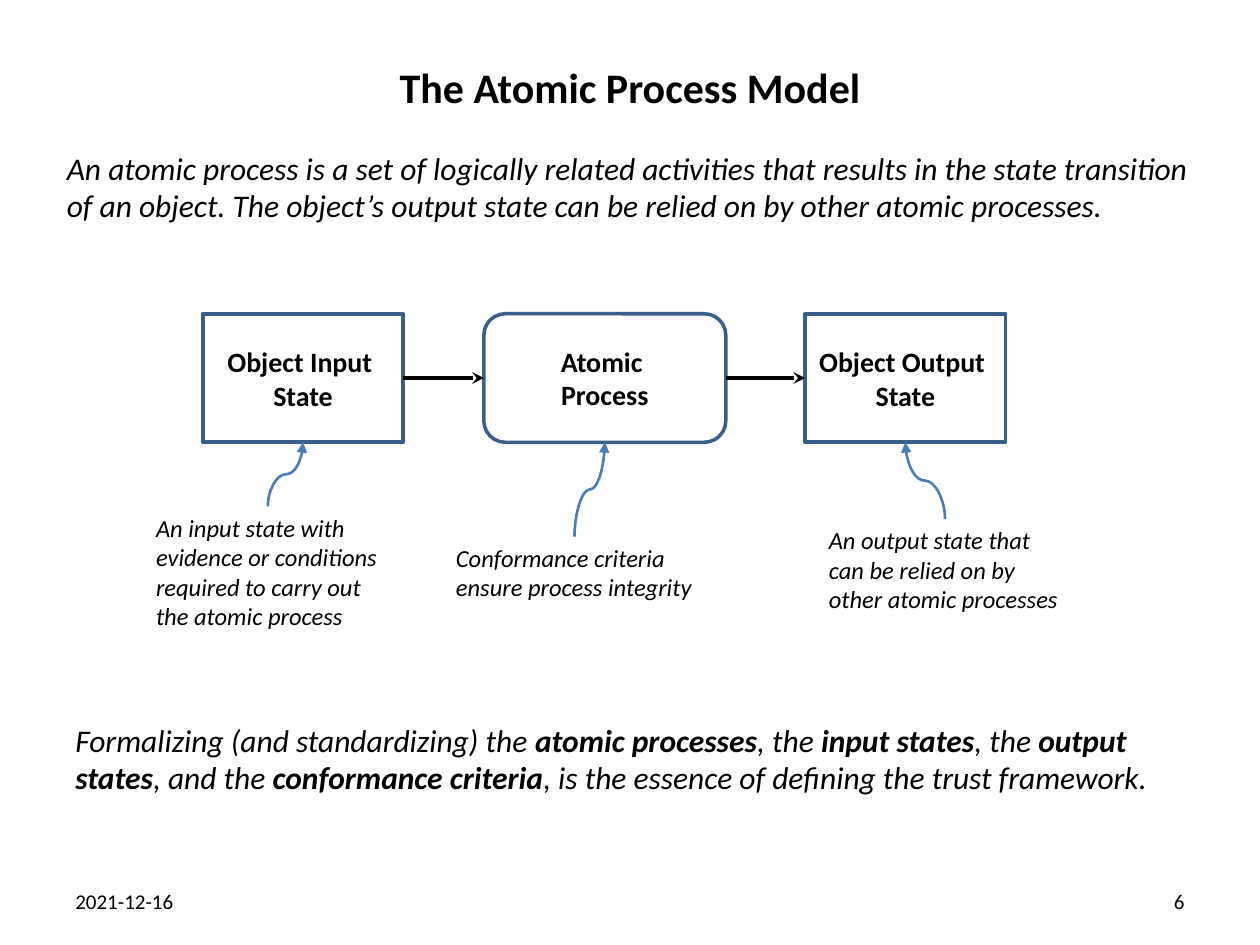
from pptx import Presentation
from pptx import util as u
from pptx.dml.color import RGBColor
from pptx.enum import shapes, text
from pptx.oxml import ns
from lxml import etree

THEME = {
    "font": "Calibri",
    "ink": RGBColor.from_string("000000"),
    "paper": RGBColor.from_string("FFFFFF"),
    "border": RGBColor.from_string("395E89"),
    "pointer": RGBColor.from_string("4A7DBA"),
    "title": 24, "body": 18, "box": 16, "note": 14, "footer": 12,
}


def write(shape, runs, size, align=text.PP_ALIGN.LEFT,
          anchor=text.MSO_ANCHOR.TOP, bold=False, italic=False):
    """Fill one paragraph; runs are (words, bold) pairs or plain words."""
    frame = shape.text_frame
    frame.word_wrap = True
    frame.auto_size = text.MSO_AUTO_SIZE.NONE
    frame.vertical_anchor = anchor
    paragraph = frame.paragraphs[0]
    paragraph.alignment = align
    paragraph.space_before = u.Pt(0)
    for item in runs:
        words, strong = item if isinstance(item, tuple) else (item, bold)
        if paragraph.runs:
            if not isinstance(item, tuple):
                paragraph.add_line_break()
        run = paragraph.add_run()
        run.text = words
        run.font.name = THEME["font"]
        run.font.size = u.Pt(THEME[size])
        run.font.bold = strong
        run.font.italic = italic
        run.font.color.rgb = THEME["ink"]


def arrow(kind, source, source_site, target, target_site, color, width, head):
    """Join two shapes with an arrow that has no shadow."""
    line = slide.shapes.add_connector(kind, 0, 0, 0, 0)
    line.begin_connect(source, source_site)
    line.end_connect(target, target_site)
    line.line.color.rgb = THEME[color]
    line.line.width = u.Pt(width)
    etree.SubElement(line.line._get_or_add_ln(), ns.qn("a:tailEnd"), type=head)
    etree.SubElement(line._element.spPr, ns.qn("a:effectLst"))
    return line


deck = Presentation()
deck.slide_width, deck.slide_height = u.Inches(10), u.Inches(7.5)
slide = deck.slides.add_slide(deck.slide_layouts[1])

# Title and definition
title, definition = slide.placeholders
title.left, title.top, title.width, title.height = map(u.Inches, (0.5, 0.42, 9, 0.54))
write(title, ["The Atomic Process Model"], "title", text.PP_ALIGN.CENTER,
      text.MSO_ANCHOR.MIDDLE, bold=True)

definition.left, definition.top, definition.width, definition.height = map(
    u.Inches, (0.43, 1.13, 9.17, 0.63))
properties = definition.text_frame.paragraphs[0]._p.get_or_add_pPr()
properties.set("marL", "0")
properties.set("indent", "0")
etree.SubElement(properties, ns.qn("a:buNone"))
write(definition, [
    "An atomic process is a set of logically related activities that results in "
    "the state transition of an object. The object’s output state can be relied "
    "on by other atomic processes."], "body", italic=True)

# Process chain, each step with its note: shape, left, width, label, note, note place
RECT = shapes.MSO_SHAPE.RECTANGLE
ROUNDED = shapes.MSO_SHAPE.ROUNDED_RECTANGLE
steps = [
    (RECT, 1.61, 1.59, ["Object Input ", "State"],
     "An input state with evidence or conditions required to carry out the atomic process",
     (1.14, 4.02, 1.97, 1.07)),
    (ROUNDED, 3.84, 1.92, ["Atomic ", "Process"],
     "Conformance criteria ensure process integrity",
     (3.52, 4.26, 2.08, 0.59)),
    (RECT, 6.39, 1.59, ["Object Output ", "State"],
     "An output state that can be relied on by other atomic processes",
     (6.48, 4.12, 2.04, 0.83)),
]
previous = None
for outline, left, width, label, remark, place in steps:
    step = slide.shapes.add_shape(outline, u.Inches(left), u.Inches(2.49),
                                  u.Inches(width), u.Inches(1.02))
    step.shadow.inherit = False
    step.fill.solid()
    step.fill.fore_color.rgb = THEME["paper"]
    step.line.color.rgb = THEME["border"]
    step.line.width = u.Pt(2)
    write(step, label, "box", text.PP_ALIGN.CENTER, text.MSO_ANCHOR.MIDDLE, bold=True)

    note = slide.shapes.add_textbox(*map(u.Inches, place))
    write(note, [remark], "note", italic=True)

    # Curved pointer: a horizontal S turned upright around its centre
    pointer = arrow(shapes.MSO_CONNECTOR.CURVE, note, 0, step, 2,
                    "pointer", 1.5, "triangle")
    start_x, end_x = note.left + note.width // 2, step.left + step.width // 2
    start_y, end_y = note.top, step.top + step.height
    rise, drift = start_y - end_y, abs(end_x - start_x)
    pointer.left = (start_x + end_x - rise) // 2
    pointer.top = (start_y + end_y - drift) // 2
    pointer.width, pointer.height = rise, drift
    frame = pointer._element.spPr.find(ns.qn("a:xfrm"))
    rightward = end_x > start_x
    frame.set("rot", str((90 if rightward else 270) * 60000))
    frame.set("flipH", "1" if rightward else "0")
    frame.set("flipV", "1")

    if previous is not None:
        arrow(shapes.MSO_CONNECTOR.STRAIGHT, previous, 3, step, 1,
              "ink", 2.25, "stealth")
    previous = step

# Conclusion
conclusion = slide.shapes.add_textbox(*map(u.Inches, (0.5, 5.67, 9, 0.68)))
write(conclusion, [
    ("Formalizing (and standardizing) the ", False),
    ("atomic processes", True),
    (", the ", False),
    ("input states", True),
    (", the ", False),
    ("output states", True),
    (", and the ", False),
    ("conformance criteria", True),
    (", is the essence of defining the trust framework.", False),
], "body", italic=True)

# Footer
for left, words, align in [(0.5, "2021-12-16", text.PP_ALIGN.LEFT),
                           (7.17, "6", text.PP_ALIGN.RIGHT)]:
    footer = slide.shapes.add_textbox(u.Inches(left), u.Inches(6.95),
                                      u.Inches(2.33), u.Inches(0.4))
    write(footer, [words], "footer", align, text.MSO_ANCHOR.MIDDLE)

deck.save("out.pptx")
